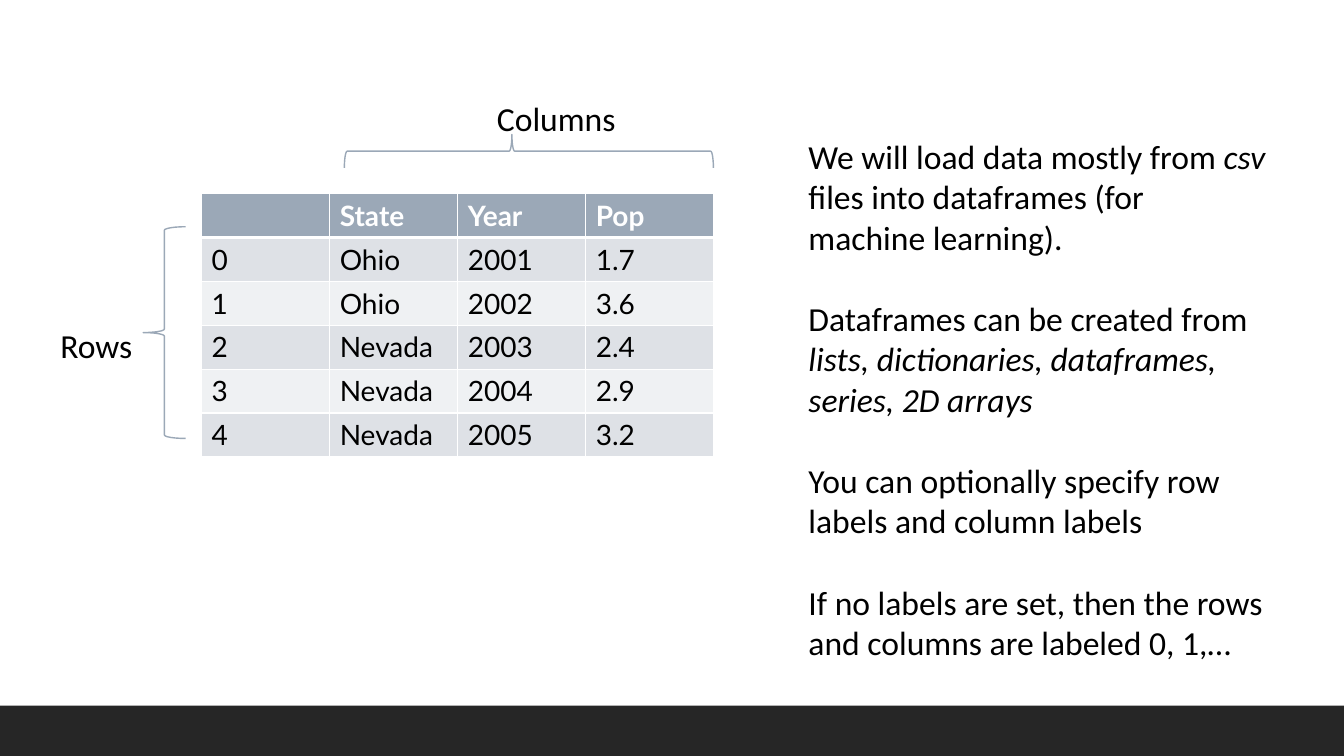
from lxml.etree import SubElement as Sub
from pptx import Presentation
from pptx.dml.color import RGBColor as RGB
from pptx.enum.shapes import MSO_SHAPE as Kind
from pptx.oxml.ns import qn
from pptx.util import Inches, Pt

GRID = [
    ("", "State", "Year", "Pop"),
    ("0", "Ohio", "2001", "1.7"),
    ("1", "Ohio", "2002", "3.6"),
    ("2", "Nevada", "2003", "2.4"),
    ("3", "Nevada", "2004", "2.9"),
    ("4", "Nevada", "2005", "3.2"),
]
NOTES = [
    [("We will load data mostly from ", False), ("csv", True),
     (" files into dataframes (for machine learning).", False)],
    [("Dataframes can be created from ", False),
     ("lists, dictionaries, dataframes, series, 2D arrays", True)],
    [("You can optionally specify row labels and column labels", False)],
    [("If no labels are set, then the rows and columns are labeled 0, 1,…", False)],
]
LABELS = [("Columns", 4.83, 0.92, 1.39), ("Rows", 0.5, 3.17, 0.92)]
BRACES = [
    (5.08, -0.33, 0.33, 3.66, 90, 0.546),
    (1.42, 2.25, 0.42, 2.1, 0, 0.5),
]

WHITE = RGB(0xFF, 0xFF, 0xFF)
BLACK = RGB(0, 0, 0)
DARK = RGB(0x26, 0x26, 0x26)
SLATE = RGB(0x9B, 0xA8, 0xB7)
BANDS = (RGB(0xEF, 0xF1, 0xF3), RGB(0xDE, 0xE1, 0xE6))


def style(run, size, name, color):
    """Set the font of a run."""
    font = run.font
    font.size, font.name = Pt(size), name
    font.color.rgb = color


def add_shape(slide, kind, *box):
    """Add a preset shape without shadow."""
    shape = slide.shapes.add_shape(kind, *map(Inches, box))
    shape.shadow.inherit = False
    return shape


def add_text(slide, box, paras, wrap):
    """Add a text box with one line of space between paragraphs."""
    frame = slide.shapes.add_textbox(*map(Inches, box)).text_frame
    frame.word_wrap = wrap
    for i, parts in enumerate(paras):
        para = frame.add_paragraph() if i else frame.paragraphs[0]
        if i:
            para.space_before = Pt(29.3)
        for text, slant in parts:
            run = para.add_run()
            run.text = text
            style(run, 24, "Calibri", BLACK)
            run.font.italic = slant


def add_edges(cell, head):
    """Draw white borders round a cell, thick next to the header."""
    props = cell._tc.get_or_add_tcPr()
    for side in "LRTB":
        thick = head and side == "B"
        line = Sub(props, qn("a:ln" + side), w=str(Pt(3 if thick else 1)))
        Sub(Sub(line, qn("a:solidFill")), qn("a:srgbClr"), val=str(WHITE))


def add_grid(slide):
    """Add the table of states."""
    box = map(Inches, (2, 1.92, 5.08, 2.6))
    table = slide.shapes.add_table(len(GRID), len(GRID[0]), *box).table
    for r, row in enumerate(GRID):
        for c, text in enumerate(row):
            cell = table.cell(r, c)
            add_edges(cell, r == 0)
            cell.fill.solid()
            cell.fill.fore_color.rgb = BANDS[r % 2] if r else SLATE
            cell.text_frame.text = text
            for run in cell.text_frame.paragraphs[0].runs:
                style(run, 20, "Lato", BLACK if r else WHITE)
                run.font.bold = r == 0


def main():
    """Build the dataframe slide."""
    deck = Presentation()
    deck.slide_width, deck.slide_height = Inches(13.33), Inches(7.5)
    slide = deck.slides.add_slide(deck.slide_layouts[6])
    bar = add_shape(slide, Kind.RECTANGLE, 0, 7, 13.33, 0.5)
    bar.fill.solid()
    bar.fill.fore_color.rgb = DARK
    bar.line.fill.background()
    add_grid(slide)
    for *box, turn, tip in BRACES:
        brace = add_shape(slide, Kind.LEFT_BRACE, *box)
        brace.rotation = turn
        brace.adjustments[1] = tip
        brace.fill.background()
        brace.line.color.rgb = SLATE
        brace.line.width = Pt(1)
    for text, x, y, w in LABELS:
        add_text(slide, (x, y, w, 0.5), [[(text, False)]], False)
    add_text(slide, (7.92, 1.3, 4.75, 5.35), NOTES, True)
    deck.save("out.pptx")


if __name__ == "__main__":
    main()
